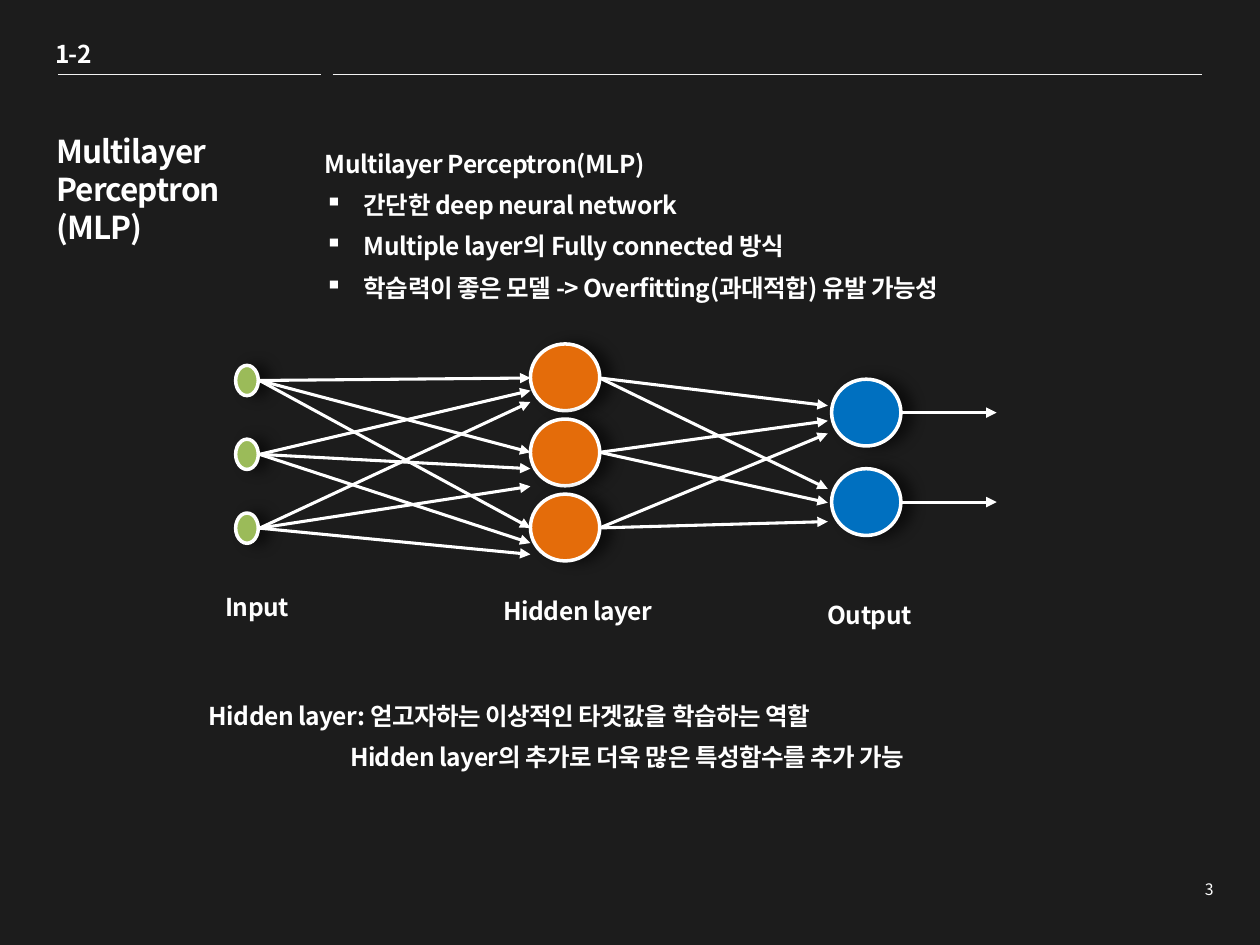
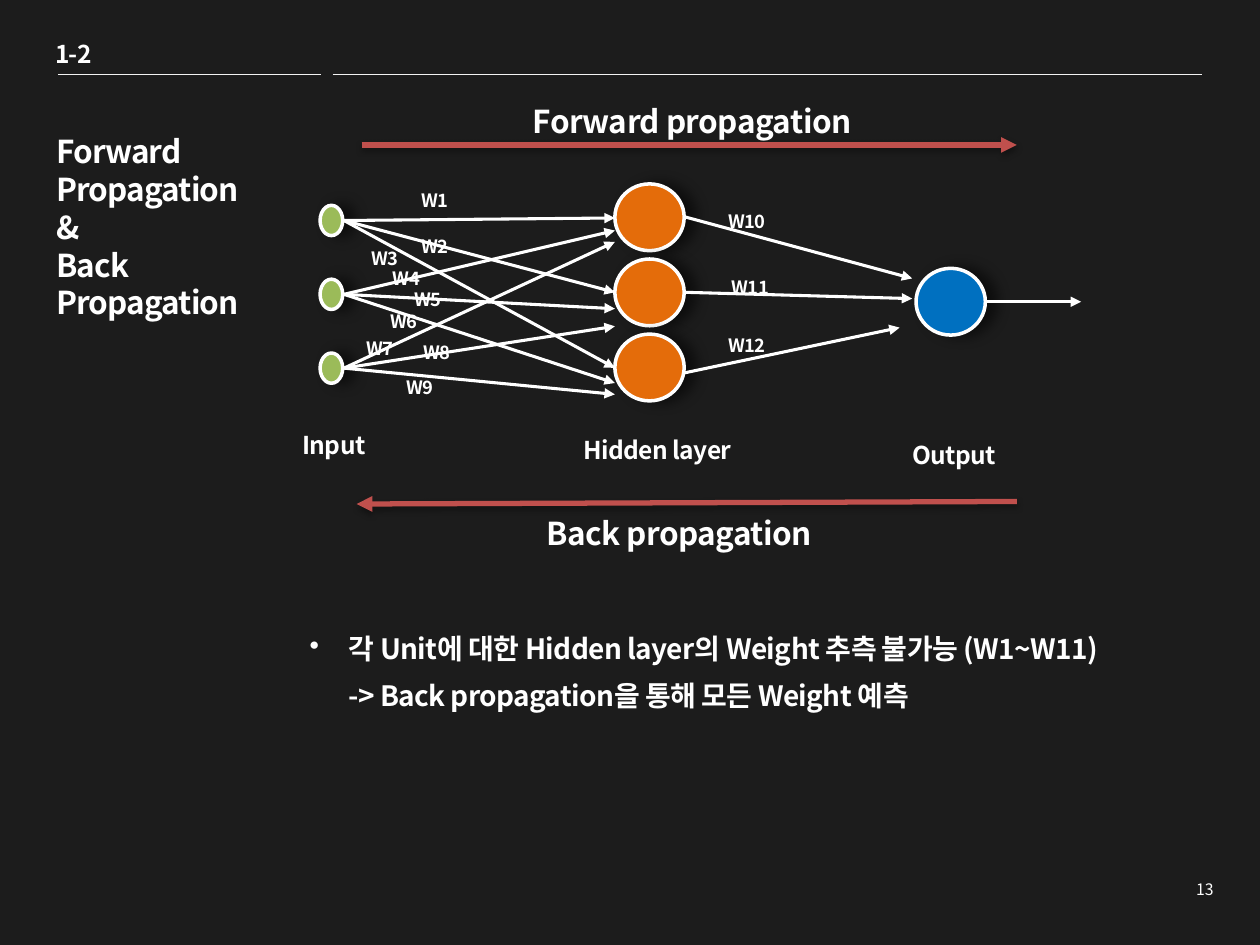
from pptx import Presentation
from pptx.dml.color import RGBColor as RGB
from pptx.enum.shapes import MSO_CONNECTOR as Link, MSO_SHAPE as Form
from pptx.enum.text import MSO_AUTO_SIZE as Fit, PP_ALIGN as Align
from pptx.oxml.ns import qn
from pptx.util import Emu, Inches, Pt
from lxml.etree import SubElement as Sub

DARK = RGB(0x1C, 0x1C, 0x1C)
WHITE = RGB(0xFF, 0xFF, 0xFF)
PALE = RGB(0xF2, 0xF2, 0xF2)
GREEN = RGB(0x9B, 0xBB, 0x59)
ORANGE = RGB(0xE4, 0x6C, 0x0A)
BLUE = RGB(0x00, 0x70, 0xC0)
RED = RGB(0xC0, 0x50, 0x4D)
FONT = "Noto Sans CJK KR"

# The slide is a grid of 100 columns by 75 rows
WIDE, HIGH = Inches(10), Inches(7.5)
CELL = WIDE / 100

# Shadows: opacity %, blur pt, distance pt, angle
NODE_SHADE = (55, 8, 6, 0)
FLOW_SHADE = (35, 3.1, 1.8, 90)

# Network geometry in cells; a slide shifts it as a whole
STEP_IN, STEP_MID = 5.86, 5.96
BIG, SMALL = (5.5, 5.3), (1.8, 2.4)
IN_X, IN_Y = 18.7, 29.0
MID_X, MID_Y = 42.1, 27.3
OUT_X = 66.0
TIPS = ((30.0, 35.9, 41.9), (31.0, 37.2, 43.1), (31.9, 38.6, 44.0))


def cells(*nums):
    return [Emu(round(n * CELL)) for n in nums]


def effect(shape, shade=None):
    """Give a shape its own shadow, or none."""
    props = shape._element.spPr
    box = Sub(props, qn("a:effectLst"))
    if shade:
        alpha, blur, dist, angle = shade
        cast = Sub(box, qn("a:outerShdw"), blurRad=str(Pt(blur)),
                   dist=str(Pt(dist)), dir=str(angle * 60000),
                   algn="ctr", rotWithShape="0")
        tint = Sub(cast, qn("a:srgbClr"), val="000000")
        Sub(tint, qn("a:alpha"), val=str(alpha * 1000))


def style(para, size, bold, space, lines, bullet, indent):
    font = para.font
    font.size, font.bold, font.name = Pt(size), bold, FONT
    font.color.rgb = WHITE
    para.line_spacing = lines
    props = para._p.get_or_add_pPr()
    base = props.find(qn("a:defRPr"))
    base.set("spc", str(round(space * 100)))
    base.find(qn("a:latin")).addnext(
        base.makeelement(qn("a:ea"), {"typeface": FONT}))
    if indent:
        props.set("marL", str(cells(indent)[0]))
    if bullet:
        props.set("indent", str(-cells(indent)[0]))
        base.addprevious(base.makeelement(qn("a:buChar"), {"char": bullet}))


def write(slide, place, *items, size=14, bold=True, space=-0.3, lines=1.4,
          wrap=True, align=Align.LEFT, fit=Fit.SHAPE_TO_FIT_TEXT):
    """Each item is a string or (string, bullet, indent)."""
    frame = slide.shapes.add_textbox(*cells(*place)).text_frame
    frame.word_wrap, frame.auto_size = wrap, fit
    for i, item in enumerate(items):
        words, bullet, indent = (item, None, 0) if isinstance(item, str) else item
        para = frame.add_paragraph() if i else frame.paragraphs[0]
        para.text, para.alignment = words, align
        style(para, size, bold, space, lines, bullet, indent)


def line(slide, start, end, color=WHITE, width=1.75, arrow=True, shade=None):
    link = slide.shapes.add_connector(Link.STRAIGHT, *cells(*start, *end))
    link.line.color.rgb, link.line.width = color, Pt(width)
    if arrow:
        Sub(link.line._get_or_add_ln(), qn("a:tailEnd"), type="triangle")
    effect(link, shade)


def node(slide, left, top, size, color):
    oval = slide.shapes.add_shape(Form.OVAL, *cells(left, top, *size))
    oval.fill.solid()
    oval.fill.fore_color.rgb = color
    oval.line.color.rgb, oval.line.width = WHITE, Pt(2)
    effect(oval, NODE_SHADE)


def network(slide, dx, dy, outs, links):
    """Three inputs, three hidden units, and outputs at the given tops.

    links holds (start row, end column, end row) for the second layer.
    """
    for i, tips in enumerate(TIPS):
        top = IN_Y + dy + i * STEP_IN
        node(slide, IN_X + dx, top, SMALL, GREEN)
        node(slide, MID_X + dx, MID_Y + dy + i * STEP_MID, BIG, ORANGE)
        start = (IN_X + SMALL[0] + dx + 0.1, top + SMALL[1] / 2)
        for tip in tips:
            line(slide, start, (MID_X + dx, tip + dy))
    for row, col, tip in links:
        line(slide, (MID_X + BIG[0] + dx, row + dy), (col + dx, tip + dy))
    for top in outs:
        node(slide, OUT_X + dx, top + dy, BIG, BLUE)
        side, mid = OUT_X + BIG[0] + dx, top + dy + BIG[1] / 2
        line(slide, (side, mid), (side + 7.6, mid))


def labels(slide, *spots):
    for words, spot in zip(("Input", "Hidden layer", "Output"), spots):
        write(slide, (*spot, 14.4, 4), words)


def page(deck, title, number):
    """Background, section mark, rules, title and page number."""
    slide = deck.slides.add_slide(deck.slide_layouts[6])
    slide.background.fill.solid()
    slide.background.fill.fore_color.rgb = DARK
    write(slide, (3.4, 2.6, 4.9, 3.4), "1-2", space=-0.5, lines=1.0, wrap=False)
    for left, right in ((4.6, 25.5), (26.4, 95.4)):
        line(slide, (left, 5.9), (right, 5.9), PALE, 0.25, arrow=False)
    write(slide, (3.5, 10, 22, 16.1), title, size=18, space=-0.5, lines=1.0,
          fit=Fit.NONE)
    write(slide, (93.7, 69.3, 3.6, 2.5), number, size=9, bold=False, space=0,
          lines=1.0, wrap=False, align=Align.RIGHT)
    return slide


def layers(deck):
    slide = page(deck, "Multilayer\nPerceptron\n(MLP)", "3")
    points = ("간단한 deep neural network",
              "Multiple layer의 Fully connected 방식",
              "학습력이 좋은 모델 -> Overfitting(과대적합) 유발 가능성")
    write(slide, (24.8, 10.4, 61.1, 16.8), "Multilayer Perceptron(MLP)",
          *[(point, "▪", 3.1) for point in points])
    ends = ((30.0, 32.2, 38.8), (35.9, 33.4, 39.9), (41.9, 34.4, 41.4))
    network(slide, 0, 0, (30.1, 37.2),
            [(row, 65.7, tip) for row, *tips in ends for tip in tips])
    labels(slide, (16.9, 45.6), (39.0, 45.9), (64.7, 46.2))
    write(slide, (15.6, 54.2, 70.3, 10.2),
          "Hidden layer: 얻고자하는 이상적인 타겟값을 학습하는 역할",
          ("Hidden layer의 추가로 더욱 많은 특성함수를 추가 가능", None, 11.2))


def passes(deck):
    slide = page(deck, "Forward\nPropagation\n&\nBack\nPropagation", "13")
    write(slide, (23.6, 48.6, 67.4, 12),
          ("각 Unit에 대한 Hidden layer의 Weight 추측 불가능 (W1~W11)\n"
           "-> Back propagation을 통해 모든 Weight 예측", "•", 3.1), size=16)
    network(slide, 6.7, -12.7, (34.0,),
            ((29.9, 65.7, 34.8), (35.9, 65.7, 36.4), (42.3, 64.7, 38.7)))
    labels(slide, (23.0, 32.7), (45.3, 33.1), (71.4, 33.5))

    # Direction arrows with their captions
    for start, end, place, words in (
            ((28.7, 11.5), (80.7, 11.5), (41.3, 6.4, 28.8, 4.9),
             "Forward propagation"),
            ((80.7, 39.8), (28.3, 40), (42.4, 39.1, 24.6, 4.9),
             "Back propagation")):
        line(slide, start, end, RED, 3, shade=FLOW_SHADE)
        write(slide, place, words, size=18)

    # Weights W1 to W12
    spots = ((32.5, 13.8), (32.5, 17.5), (28.5, 18.4), (30.2, 20),
             (31.9, 21.7), (30, 23.4), (28.1, 25.6), (32.6, 25.9),
             (31.3, 28.7), (56.8, 15.5), (57.1, 20.7), (56.8, 25.3))
    for i, spot in enumerate(spots, 1):
        write(slide, (*spot, 5.5, 3.3), f"W{i}", size=10.5)


def main():
    deck = Presentation()
    deck.slide_width, deck.slide_height = WIDE, HIGH
    layers(deck)
    passes(deck)
    deck.save("out.pptx")


if __name__ == "__main__":
    main()
